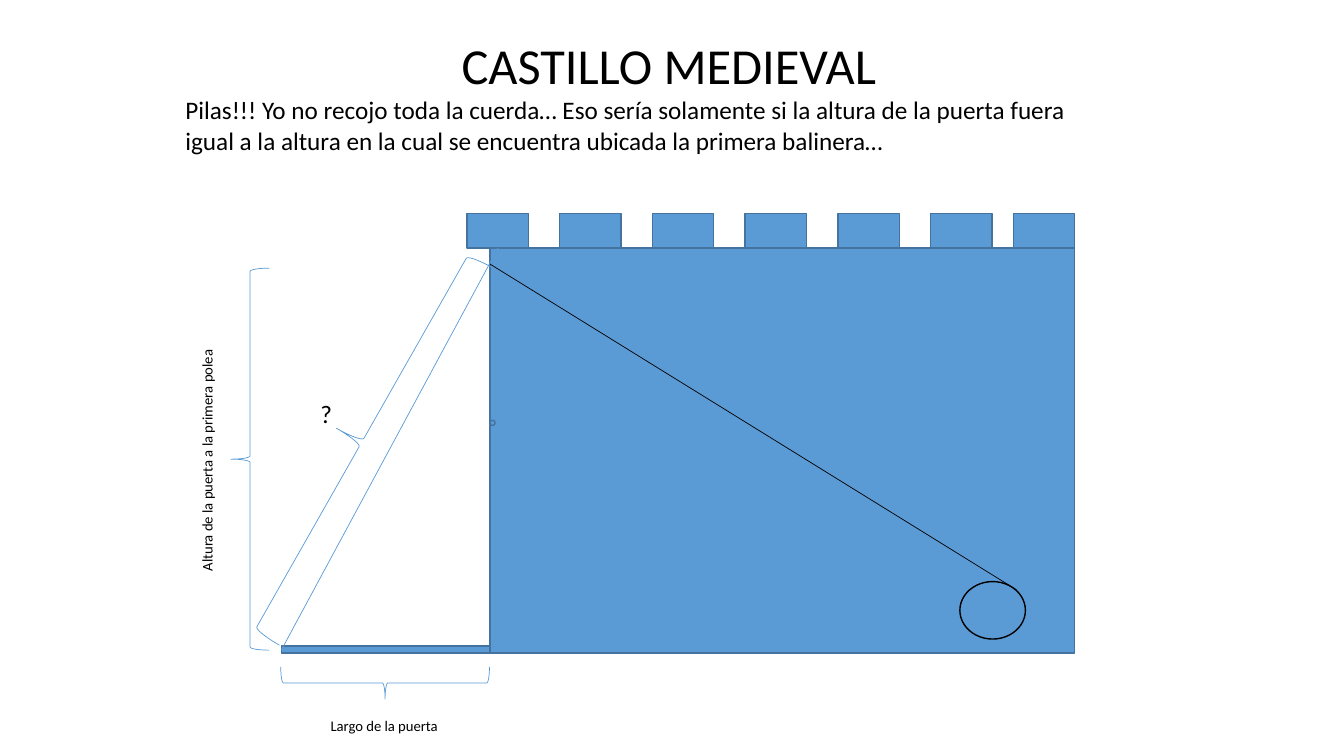
from pptx import Presentation
from pptx.dml.color import RGBColor
from pptx.enum.shapes import MSO_CONNECTOR as CONN, MSO_SHAPE as SHAPE
from pptx.enum.text import MSO_AUTO_SIZE as AUTO
from pptx.oxml.ns import qn
from pptx.util import Emu, Pt
from lxml import etree

PX = 9144
BLUE = RGBColor(0x5B, 0x9B, 0xD5)
EDGE = RGBColor(0x43, 0x73, 0x9E)
BLACK = RGBColor(0, 0, 0)


def px(*lengths):
    """Turn px lengths into EMU."""
    return [Emu(n * PX) for n in lengths]


def add_text(s, text, x, y, w, h, size, wrap=False, rotation=0):
    """Add a one-run text box."""
    box = s.shapes.add_textbox(*px(x, y, w, h))
    box.rotation = rotation
    tf = box.text_frame
    tf.word_wrap = wrap
    tf.auto_size = AUTO.SHAPE_TO_FIT_TEXT
    r = tf.paragraphs[0].add_run()
    r.text = text
    r.font.name = "Calibri"
    r.font.size = Pt(size)
    r.font.color.rgb = BLACK


def add_solid(s, kind, x, y, w, h, line=EDGE):
    """Add a blue shape with a thin outline."""
    sp = s.shapes.add_shape(kind, *px(x, y, w, h))
    sp.shadow.inherit = False
    sp.fill.solid()
    sp.fill.fore_color.rgb = BLUE
    sp.line.color.rgb = line
    sp.line.width = Pt(1)


def add_brace(s, kind, x, y, w, h, rotation, flip=False):
    """Add a turned brace without fill."""
    sp = s.shapes.add_shape(kind, *px(x, y, w, h))
    sp.shadow.inherit = False
    sp.fill.background()
    sp.line.color.rgb = BLUE
    sp.line.width = Pt(0.5)
    sp.rotation = rotation
    if flip:
        sp._element.spPr.find(qn("a:xfrm")).set("flipH", "1")


def add_rope(s, x1, y1, x2, y2, color):
    """Add a straight rope between two points."""
    rope = s.shapes.add_connector(CONN.STRAIGHT, *px(x1, y1, x2, y2))
    rope.line.color.rgb = color
    rope.line.width = Pt(0.5)
    etree.SubElement(rope._element.spPr, qn("a:effectLst"))


def add_heading(s, x, y):
    """Place the title and the remark under it."""
    add_text(s, "CASTILLO MEDIEVAL", x + 274, y, 436, 71, 36)
    add_text(s, "Pilas!!! Yo no recojo toda la cuerda… Eso sería solamente si la "
             "altura de la puerta fuera igual a la altura en la cual se encuentra "
             "ubicada la primera balinera…", x, y + 60, 945, 71, 18, wrap=True)


def add_castle(s, x, y, w, h):
    """Draw wall, merlons, door, ropes and pulleys around the wall box."""
    merlon_w, merlon_h, pitch, door_w = 61, 34, 92, 207
    add_solid(s, SHAPE.RECTANGLE, x, y, w, h)
    merlons = [x - 23 + pitch * i for i in range(6)] + [x + w - merlon_w]
    for left in merlons:
        add_solid(s, SHAPE.RECTANGLE, left, y - merlon_h, merlon_w, merlon_h)
    add_solid(s, SHAPE.RECTANGLE, x - door_w, y + h - 7, door_w, 7)
    add_rope(s, x - door_w, y + h - 3, x + 8, y, BLUE)
    add_solid(s, SHAPE.OVAL, x, y + 171, 5, 5)
    add_solid(s, SHAPE.OVAL, x + 466, y + 331, 65, 57, BLACK)
    add_rope(s, x, y + 16, x + 522, y + 339, BLACK)


def add_measures(s, x, y):
    """Place the three braces and their labels left of the wall corner."""
    add_brace(s, SHAPE.LEFT_BRACE, x - 120, y + 328, 32, 207, 270)
    add_text(s, "Largo de la puerta", x - 168, y + 460, 128, 28, 10.5)
    add_brace(s, SHAPE.RIGHT_BRACE, x - 257, y + 20, 38, 379, 180)
    add_text(s, "Altura de la puerta a la primera polea",
             x - 402, y + 195, 243, 28, 10.5, rotation=270)
    add_brace(s, SHAPE.LEFT_BRACE, x - 156, y - 22, 57, 430, 209.6, flip=True)
    add_text(s, "?", x - 178, y + 144, 32, 40, 18)


def main():
    """Build the slide and save it."""
    prs = Presentation()
    prs.slide_width, prs.slide_height = px(1333, 750)
    s = prs.slides.add_slide(prs.slide_layouts[6])
    add_heading(s, 174, 29)
    add_castle(s, 486, 246, 580, 402)
    add_measures(s, 486, 246)
    prs.save("out.pptx")


if __name__ == "__main__":
    main()
